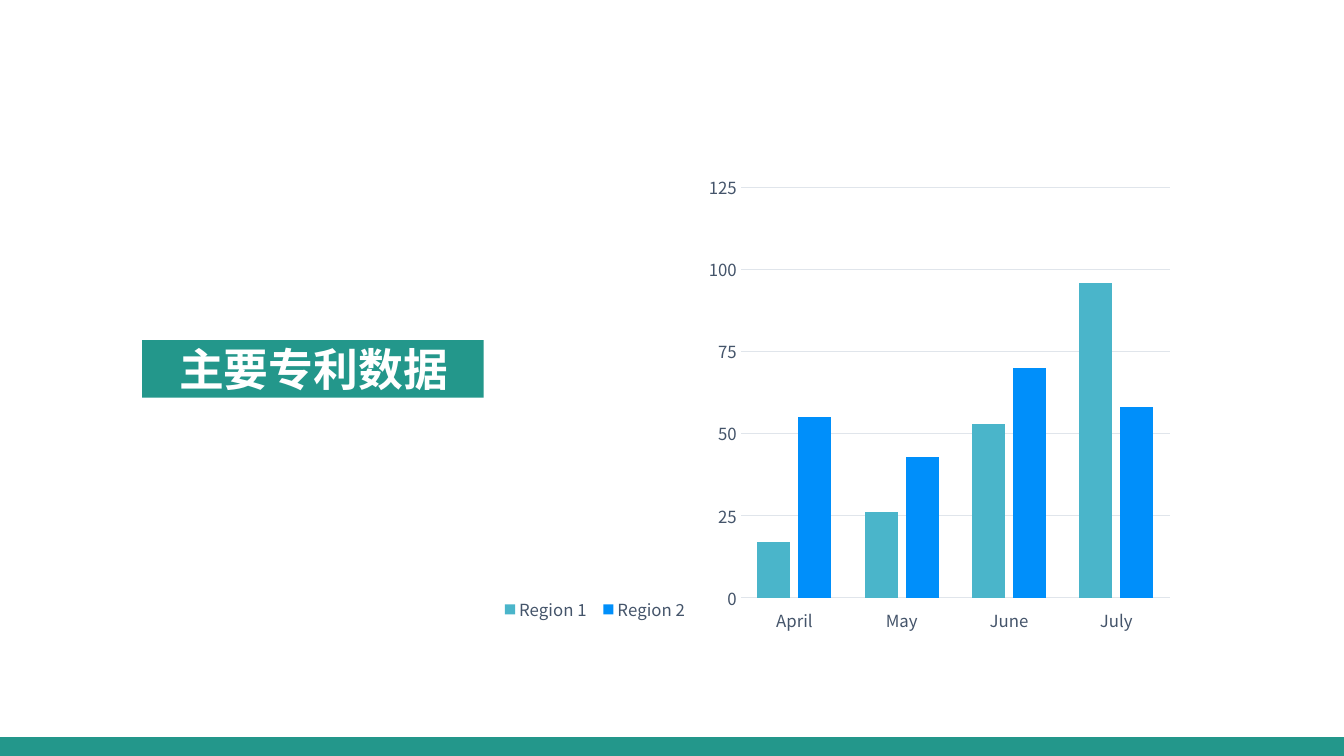
from dataclasses import dataclass

from lxml import etree
from pptx import Presentation
from pptx import util as u
from pptx.chart import data as chart_data
from pptx.dml import color
from pptx.enum import chart as charts, shapes, text
from pptx.oxml import ns


@dataclass(frozen=True)
class Theme:
    font: str = "Noto Sans CJK SC"
    accent: str = "23978B"
    title: str = "FFFFFF"
    label: str = "44546A"
    grid: str = "E0E5EB"
    series: tuple = ("4AB5CA", "008FFA")
    title_size: int = 32
    label_size: int = 12


THEME = Theme()
WIDTH, HEIGHT = 960, 540
MONTHS = ("April", "May", "June", "July")
REGIONS = {"Region 1": (17, 26, 53, 96), "Region 2": (55, 43, 70, 58)}


def rgb(value):
    return color.RGBColor.from_string(value)


def box(left, top, width, height):
    return [u.Pt(length) for length in (left, top, width, height)]


def style_font(font, size, value, bold=False):
    font.name = THEME.font
    font.size = u.Pt(size)
    font.color.rgb = rgb(value)
    font.bold = bold


def style_line(line):
    line.color.rgb = rgb(THEME.grid)
    line.width = u.Pt(0.75)


def add_band(slide, *bounds):
    shape = slide.shapes.add_shape(shapes.MSO_SHAPE.RECTANGLE, *box(*bounds))
    shape.shadow.inherit = False
    shape.fill.solid()
    shape.fill.fore_color.rgb = rgb(THEME.accent)
    shape.line.fill.background()


def add_title(slide, wording, *bounds):
    frame = slide.shapes.add_textbox(*box(*bounds)).text_frame
    frame.word_wrap = True
    frame.auto_size = text.MSO_AUTO_SIZE.SHAPE_TO_FIT_TEXT
    frame.vertical_anchor = text.MSO_ANCHOR.MIDDLE
    paragraph = frame.paragraphs[0]
    paragraph.text = wording
    paragraph.alignment = text.PP_ALIGN.CENTER
    style_font(paragraph.font, THEME.title_size, THEME.title, bold=True)
    east_asian = etree.SubElement(paragraph.font._element, ns.qn("a:ea"))
    east_asian.set("typeface", THEME.font)


def place(parent, index, inner=False, **fractions):
    for old_layout in parent.findall(ns.qn("c:layout")):
        parent.remove(old_layout)
    layout = etree.Element(ns.qn("c:layout"))
    manual = etree.SubElement(layout, ns.qn("c:manualLayout"))
    settings = {"layoutTarget": "inner"} if inner else {}
    settings.update(xMode="edge", yMode="edge", **fractions)
    for name, value in settings.items():
        etree.SubElement(manual, ns.qn(f"c:{name}")).set("val", str(value))
    parent.insert(index, layout)


def style_axes(chart):
    months, values = chart.category_axis, chart.value_axis
    for axis in (months, values):
        axis.major_tick_mark = charts.XL_TICK_MARK.NONE
        axis.minor_tick_mark = charts.XL_TICK_MARK.NONE
        style_font(axis.tick_labels.font, THEME.label_size, THEME.label)
    months.tick_label_position = charts.XL_TICK_LABEL_POSITION.LOW
    style_line(months.format.line)
    values.format.line.fill.background()
    values.minimum_scale, values.maximum_scale, values.major_unit = 0, 125, 25
    values.has_major_gridlines = True
    style_line(values.major_gridlines.format.line)


def add_legend(chart):
    chart.has_legend = True
    legend = chart.legend
    legend.position = charts.XL_LEGEND_POSITION.BOTTOM
    legend.include_in_layout = False
    style_font(legend.font, THEME.label_size, THEME.label)
    place(legend._element, 1, x=0.36, y=0.93, w=0.19, h=0.06)


def add_column_chart(slide, *bounds):
    data = chart_data.CategoryChartData()
    data.categories = MONTHS
    for name, values in REGIONS.items():
        data.add_series(name, values)
    kind = charts.XL_CHART_TYPE.COLUMN_CLUSTERED
    chart = slide.shapes.add_chart(kind, *box(*bounds), data).chart
    chart.has_title = False
    style_font(chart.font, THEME.label_size, THEME.label)
    plot = chart.plots[0]
    plot.vary_by_categories = False
    plot.gap_width, plot.overlap = 100, -24
    for series, value in zip(plot.series, THEME.series):
        series.format.fill.solid()
        series.format.fill.fore_color.rgb = rgb(value)
    style_axes(chart)
    add_legend(chart)
    plot_area = chart._chartSpace.find(f".//{ns.qn('c:plotArea')}")
    place(plot_area, 0, inner=True, x=0.592, y=0.039, w=0.403, h=0.892)


def main():
    presentation = Presentation()
    presentation.slide_width, presentation.slide_height = u.Pt(WIDTH), u.Pt(HEIGHT)
    slide = presentation.slides.add_slide(presentation.slide_layouts[6])
    add_band(slide, 101.5, 243, 244, 41)
    add_band(slide, 0, 526.5, WIDTH, 13.5)
    add_column_chart(slide, 79, 121, 760.5, 331)
    add_title(slide, "主要专利数据", 91.5, 240.5, 265, 46)
    presentation.save("out.pptx")


if __name__ == "__main__":
    main()
